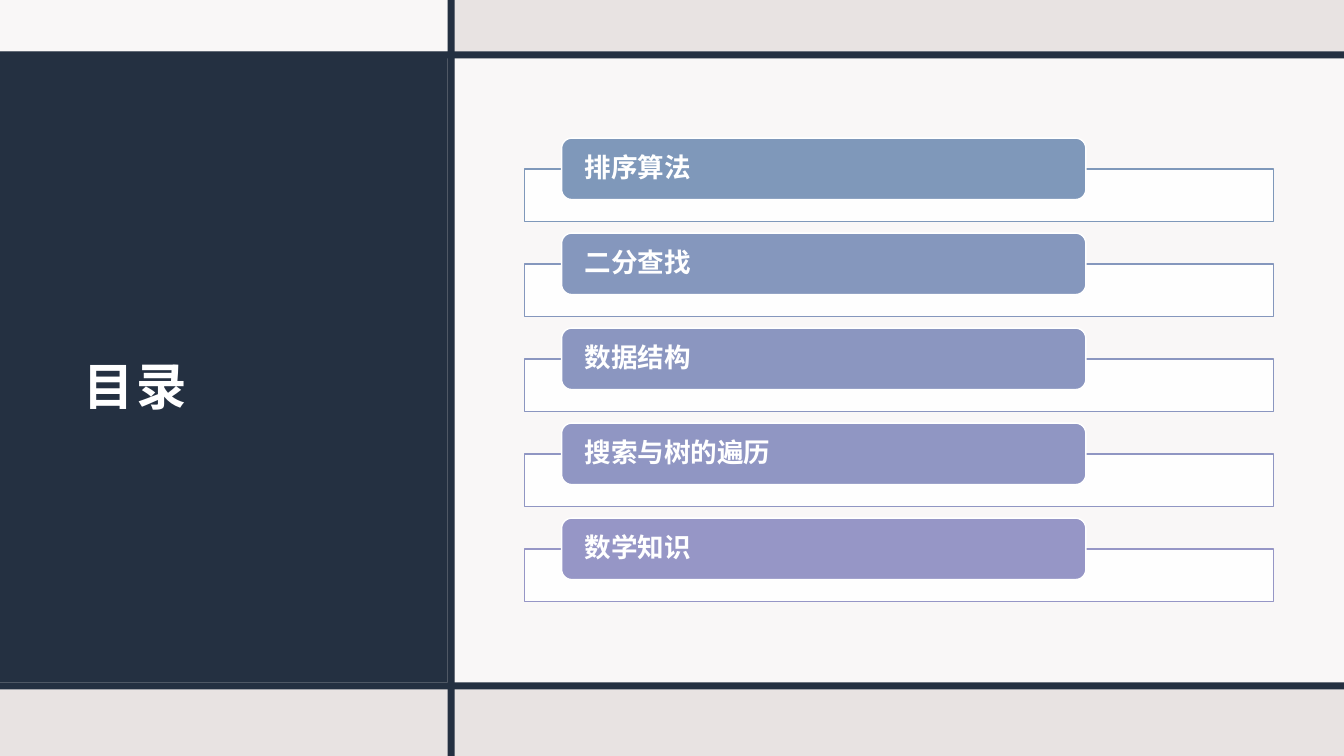
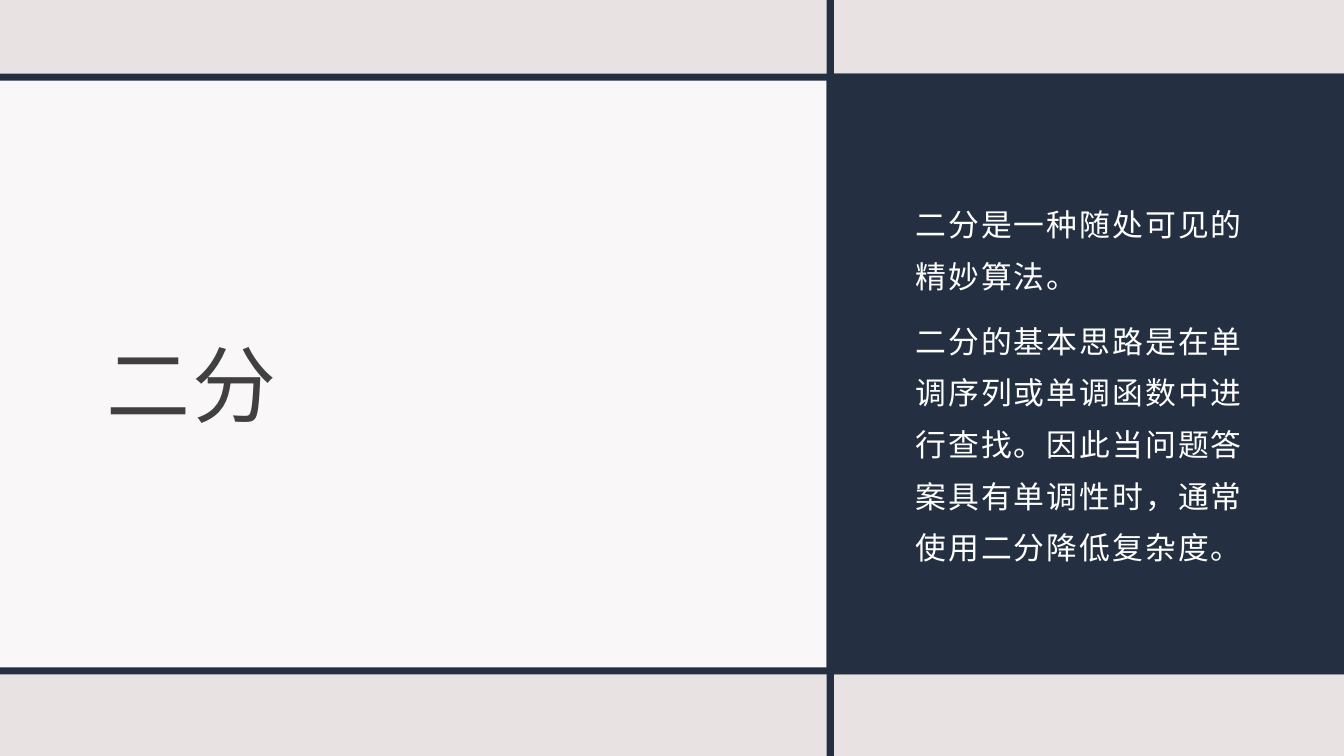
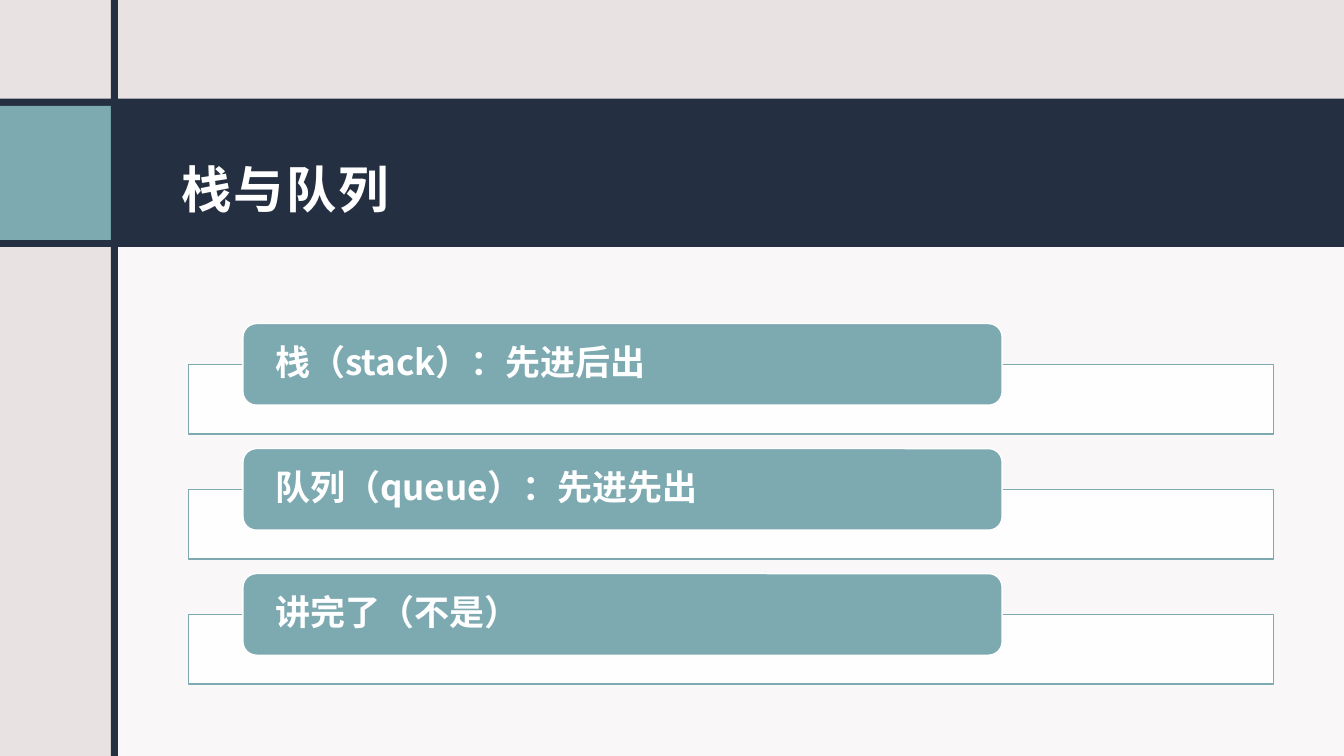
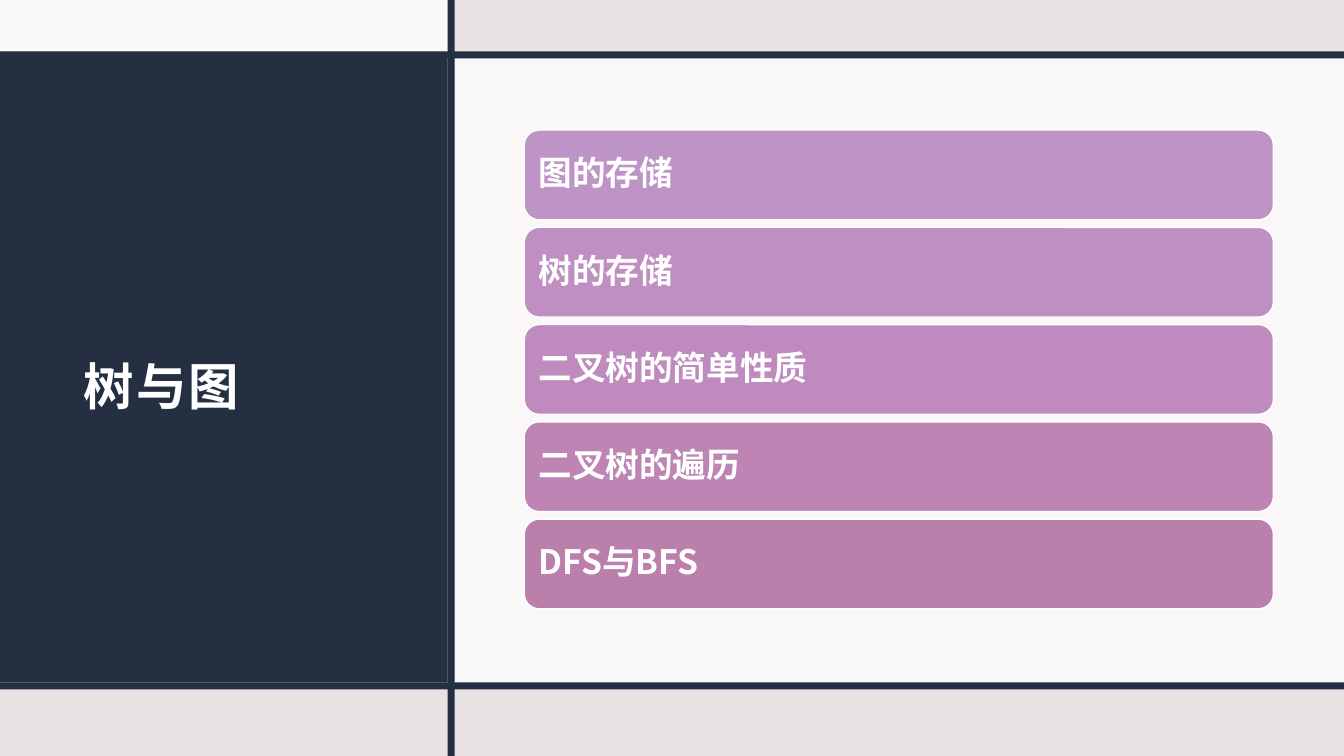
import pptx
import pptx.dml.color
import pptx.enum.lang
import pptx.enum.shapes
import pptx.enum.text
import pptx.oxml
import pptx.oxml.ns
import pptx.util

Inches = pptx.util.Inches
Pt = pptx.util.Pt
RGBColor = pptx.dml.color.RGBColor
Shape = pptx.enum.shapes.MSO_SHAPE

NAVY = RGBColor(0x24, 0x30, 0x41)
SAND = RGBColor(0xE8, 0xE3, 0xE2)
WHITE = RGBColor(0xFF, 0xFF, 0xFF)
GRAPHITE = RGBColor(0x40, 0x40, 0x40)
TEAL = RGBColor(0x7D, 0xA9, 0xB1)
BLUES = [
    RGBColor(0x7F, 0x98, 0xBA),
    RGBColor(0x85, 0x97, 0xBD),
    RGBColor(0x8B, 0x96, 0xC0),
    RGBColor(0x90, 0x96, 0xC3),
    RGBColor(0x96, 0x96, 0xC6),
]
PURPLES = [
    RGBColor(0xBD, 0x94, 0xC5),
    RGBColor(0xBF, 0x8F, 0xC2),
    RGBColor(0xBF, 0x8A, 0xBD),
    RGBColor(0xBD, 0x84, 0xB4),
    RGBColor(0xBA, 0x7F, 0xAB),
]

FONT = "Noto Sans CJK JP"
WIDTH, HEIGHT = 13.33, 7.5
BAR = 0.07
TEXT_INSETS = (0.12, 0.12, 0.12, 0.1)


def add_block(page, left, top, width, height, fill, opacity=100, line=None, kind=Shape.RECTANGLE):
    block = page.shapes.add_shape(kind, Inches(left), Inches(top), Inches(width), Inches(height))
    block.shadow.inherit = False
    block.fill.solid()
    block.fill.fore_color.rgb = fill
    if opacity < 100:
        color = block.fill._xPr.find(".//" + pptx.oxml.ns.qn("a:srgbClr"))
        alpha = pptx.oxml.parse_xml(f'<a:alpha {pptx.oxml.ns.nsdecls("a")} val="{opacity * 1000}"/>')
        color.append(alpha)
    if line is None:
        block.line.fill.background()
    else:
        block.line.color.rgb = line
        block.line.width = Pt(1)
    return block


def add_horizontal_bar(page, top):
    add_block(page, 0, top, WIDTH, BAR, NAVY)


def add_vertical_bar(page, left):
    add_block(page, left, 0, BAR, HEIGHT, NAVY)


def write_text(box, text, size, color=WHITE, bold=False, tracking=0, leading=1.0, before=0, insets=TEXT_INSETS):
    frame = box.text_frame
    frame.word_wrap = True
    frame.auto_size = pptx.enum.text.MSO_AUTO_SIZE.NONE
    frame.vertical_anchor = pptx.enum.text.MSO_ANCHOR.MIDDLE
    frame.margin_left, frame.margin_top, frame.margin_right, frame.margin_bottom = map(Inches, insets)
    frame.text = text
    for para in frame.paragraphs:
        para.alignment = pptx.enum.text.PP_ALIGN.LEFT
        para.line_spacing = leading
        para.space_before = Pt(before)
        for span in para.runs:
            span.font.name = FONT
            span.font.size = Pt(size)
            span.font.bold = bold
            span.font.color.rgb = color
            span.font.language_id = pptx.enum.lang.MSO_LANGUAGE_ID.SIMPLIFIED_CHINESE
            properties = span.font._element
            properties.set("spc", str(int(tracking * 100)))
            east_asian = pptx.oxml.parse_xml(f'<a:ea {pptx.oxml.ns.nsdecls("a")} typeface="{FONT}"/>')
            properties.find(pptx.oxml.ns.qn("a:latin")).addnext(east_asian)


def place_title(page, text, left, top, width, height, size=36, color=WHITE, bold=True, leading=1.5):
    title = page.shapes.title
    title.left, title.top, title.width, title.height = map(Inches, (left, top, width, height))
    write_text(title, text, size, color=color, bold=bold, tracking=1.5, leading=leading)
    title.element.getparent().append(title.element)


def add_pills(page, labels, colors, left, first_top, last_top, width, height, size, insets, tray=None):
    pitch = (last_top - first_top) / (len(labels) - 1)
    for index, (label, color) in enumerate(zip(labels, colors)):
        top = first_top + index * pitch
        if tray:
            tray_left, tray_width, tray_height = tray
            add_block(page, tray_left, top + height / 2, tray_width, tray_height, WHITE, opacity=90, line=color)
        pill = add_block(page, left, top, width, height, color, line=WHITE, kind=Shape.ROUNDED_RECTANGLE)
        write_text(pill, label, size, bold=True, leading=0.9, insets=insets)


def add_page(deck):
    return deck.slides.add_slide(deck.slide_layouts[5])


def add_side_title_page(deck, title):
    page = add_page(deck)
    add_block(page, 0, 0.51, 4.44, 6.26, NAVY)
    place_title(page, title, 0.71, 1.31, 3.41, 4.71)
    add_block(page, 0, 0, 4.44, 0.55, WHITE, opacity=75)
    add_block(page, 4.51, 0.58, WIDTH - 4.51, 6.22, WHITE, opacity=75)
    add_horizontal_bar(page, 6.77)
    add_vertical_bar(page, 4.44)
    add_horizontal_bar(page, 0.51)
    return page


def build_contents(deck):
    page = add_side_title_page(deck, "目录")
    labels = ["排序算法", "二分查找", "数据结构", "搜索与树的遍历", "数学知识"]
    add_pills(page, labels, BLUES, 5.57, 1.37, 5.14, 5.2, 0.61, 19, (0.2, 0, 0.2, 0), tray=(5.2, 7.43, 0.52))


def build_binary_search(deck):
    page = add_page(deck)
    add_block(page, 0, 0.73, 8.2, 5.96, WHITE, opacity=75)
    place_title(page, "二分", 0.94, 1.3, 6.57, 4.73, size=60, color=GRAPHITE, bold=False, leading=1.25)
    add_block(page, 8.2, 0.73, WIDTH - 8.2, 5.96, NAVY)
    box = page.shapes.add_textbox(Inches(8.96), Inches(1.72), Inches(3.67), Inches(4.05))
    paragraphs = [
        "二分是一种随处可见的精妙算法。",
        "二分的基本思路是在单调序列或单调函数中进行查找。因此当问题答案具有单调性时，通常使用二分降低复杂度。",
    ]
    write_text(box, "\n".join(paragraphs), 22, tracking=1.5, leading=1.4, before=9.3)
    add_vertical_bar(page, 8.2)
    add_horizontal_bar(page, 0.73)
    add_horizontal_bar(page, 6.62)


def build_stack_and_queue(deck):
    page = add_page(deck)
    add_block(page, 1.14, 2.33, WIDTH - 1.14, HEIGHT - 2.33, WHITE, opacity=75)
    add_block(page, 0, 0.98, WIDTH, 1.47, NAVY)
    place_title(page, "栈与队列", 1.68, 1.14, 10.95, 1.13)
    add_block(page, 0, 1.05, 1.1, 1.33, TEAL)
    add_vertical_bar(page, 1.1)
    labels = ["栈（stack）：先进后出", "队列（queue）：先进先出", "讲完了（不是）"]
    add_pills(
        page, labels, [TEAL] * len(labels), 2.41, 3.21, 5.69, 7.53, 0.81, 25, (0.28, 0, 0.28, 0),
        tray=(1.87, 10.76, 0.69),
    )


def build_trees_and_graphs(deck):
    page = add_side_title_page(deck, "树与图")
    labels = ["图的存储", "树的存储", "二叉树的简单性质", "二叉树的遍历", "DFS与BFS"]
    add_pills(page, labels, PURPLES, 5.2, 1.29, 5.15, 7.43, 0.89, 24, (0.1, 0.1, 0.1, 0.1))


def main():
    deck = pptx.Presentation()
    deck.slide_width, deck.slide_height = Inches(WIDTH), Inches(HEIGHT)
    background = deck.slide_master.background.fill
    background.solid()
    background.fore_color.rgb = SAND
    build_contents(deck)
    build_binary_search(deck)
    build_stack_and_queue(deck)
    build_trees_and_graphs(deck)
    deck.save("out.pptx")


if __name__ == "__main__":
    main()
